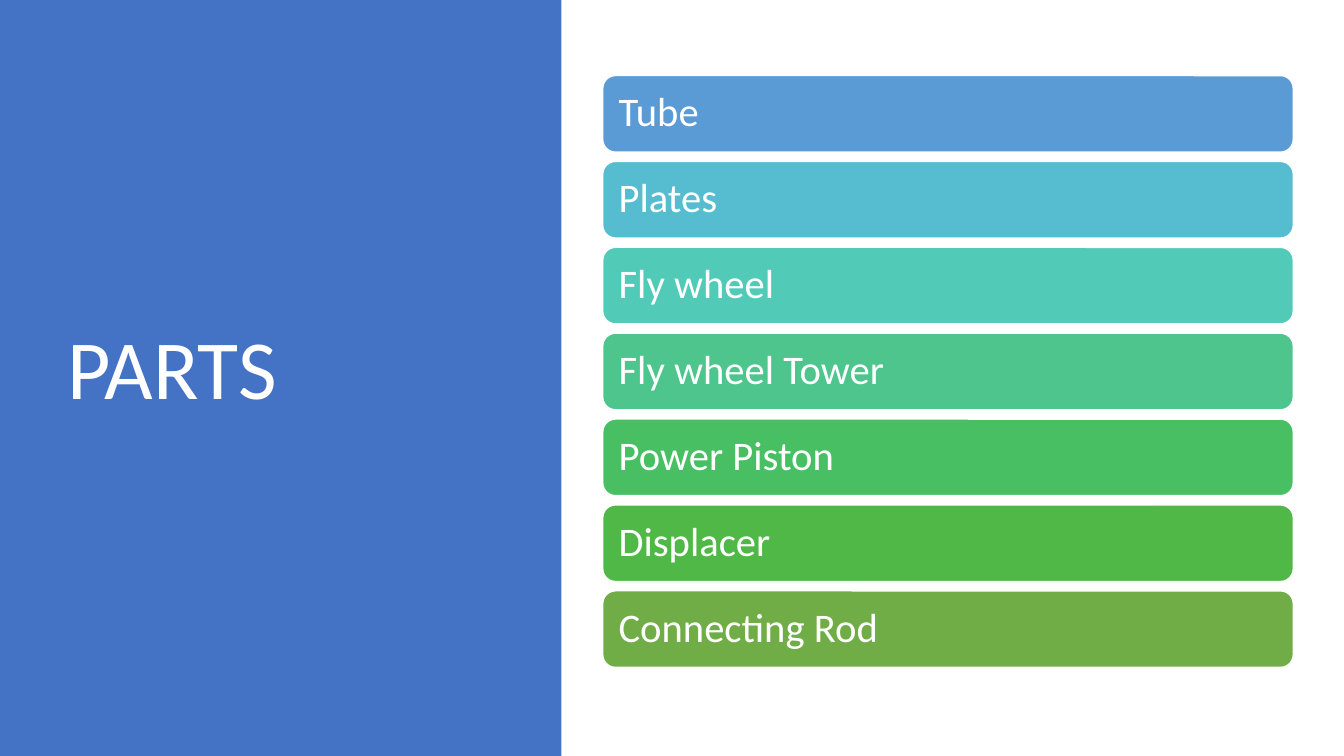
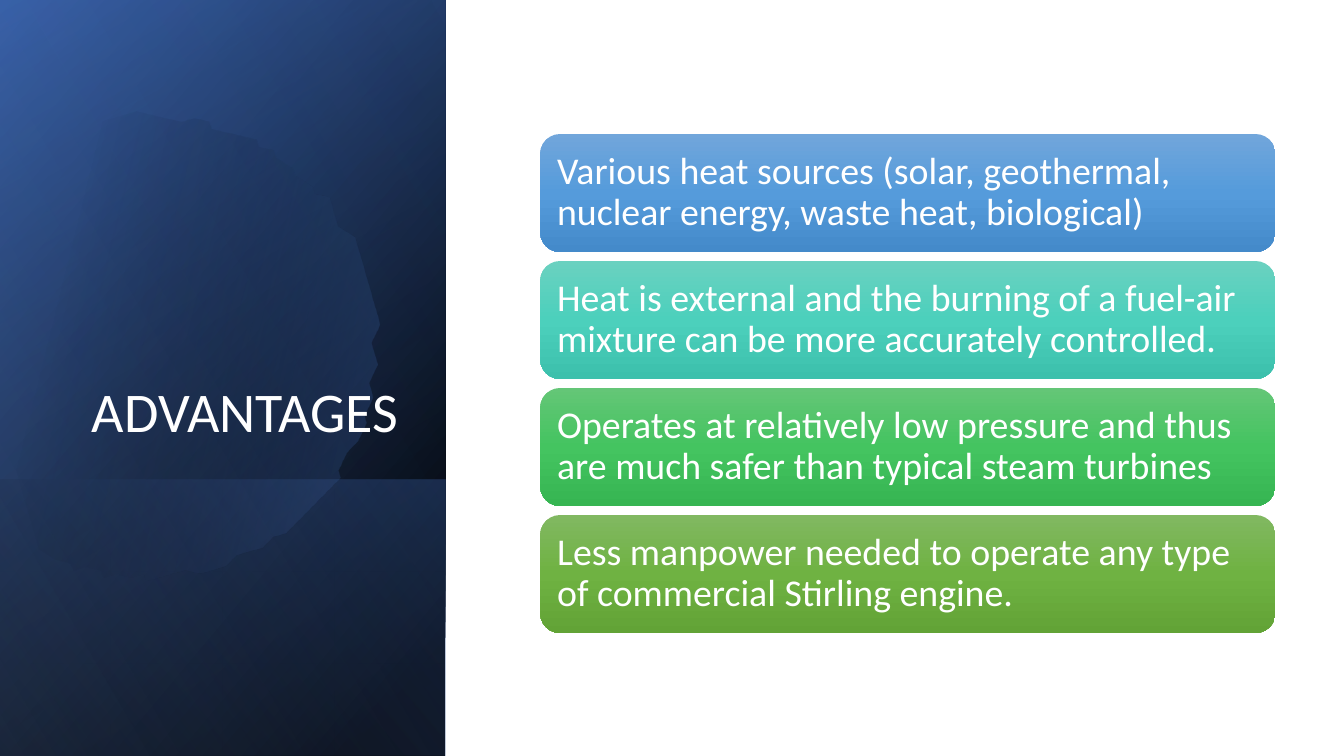
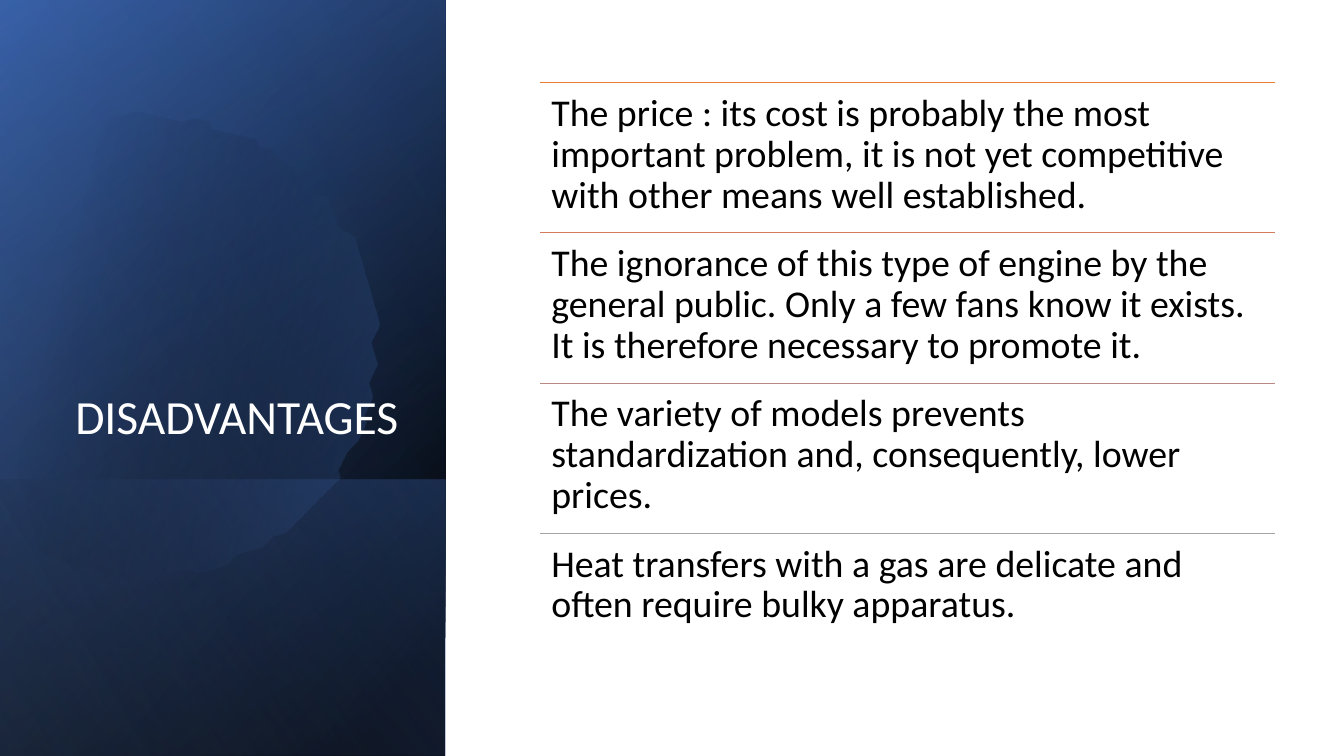
from dataclasses import dataclass
from typing import Optional

from lxml.etree import SubElement
from pptx import Presentation
from pptx.dml.color import RGBColor
from pptx.enum.shapes import MSO_CONNECTOR, MSO_SHAPE
from pptx.enum.text import MSO_ANCHOR as Anchor, PP_ALIGN as Align
from pptx.oxml.ns import qn
from pptx.util import Inches, Pt

WIDTH, HEIGHT = 13.33, 7.5


@dataclass(frozen=True)
class Theme:
    font: str = "Calibri"
    white: str = "FFFFFF"
    black: str = "000000"
    accent: str = "4472C4"
    deep: str = "2F5597"
    pale: str = "8FAADC"
    title_large: int = 60
    title_medium: int = 40
    title_small: int = 34
    part_size: int = 29
    point_size: int = 27
    leading: float = 0.9


THEME = Theme()


@dataclass(frozen=True)
class Box:
    """Percentages of the slide's width and height."""

    left: float
    top: float
    width: float
    height: float

    def emu(self) -> tuple:
        return (Inches(self.left * WIDTH / 100), Inches(self.top * HEIGHT / 100),
                Inches(self.width * WIDTH / 100), Inches(self.height * HEIGHT / 100))

    def row(self, index: int, pitch: float) -> "Box":
        return Box(self.left, self.top + index * pitch, self.width, self.height)


@dataclass(frozen=True)
class Stop:
    position: int
    color: str
    opacity: int = 100


@dataclass(frozen=True)
class Gradient:
    stops: tuple
    angle: float


@dataclass(frozen=True)
class Item:
    text: str
    colors: tuple


PANEL = Box(0, 0, 33.15, 100)
LOWER_BAND = Box(0, 63.47, 33.15, 36.53)
PARTS_PANEL = Box(0, 0, 41.78, 100)
PARTS_TITLE = Box(4.28, 9.07, 31.2, 80.27)
SIDE_TITLE = Box(4.8, 24.53, 25.58, 34.93)
PART_CARD, PART_PITCH = Box(44.85, 10, 51.38, 10.13), 11.36
ADVANTAGE_CARD, ADVANTAGE_PITCH = Box(40.2, 17.73, 54.69, 15.6), 16.8
DRAWBACK_ROW, DRAWBACK_PITCH = Box(40.2, 10.93, 54.69, 19.87), 19.87

BASE_GLOW = Gradient((Stop(8, THEME.black), Stop(100, THEME.deep)), 50)
SIDE_GLOW = Gradient((Stop(0, THEME.black, 0), Stop(99, THEME.accent, 46)), 30)
BAND_GLOW = Gradient((Stop(2, THEME.accent, 29), Stop(100, THEME.black, 30)), 130)
DISC_GLOW = Gradient((Stop(29, THEME.black, 0), Stop(100, THEME.accent, 43)), 30)
TOP_GLOW = Gradient((Stop(0, THEME.black, 0), Stop(99, THEME.pale, 11)), 120)

DISC_START = (11.18, 14.67)
DISC_ROTATION = 343.9
DISC_SHIFT = (-0.06, -0.73)
DISC_CURVES = (
    ((18.45, 14.93), (25.13, 23.6), (27.23, 36.67)),
    ((29.86, 52.93), (24.61, 69.73), (15.53, 74.4)),
    ((9.83, 77.33), (3.98, 74.8), (-0.23, 68.53)),
    ((-1.13, 67.07),),
    ((-1.13, 23.33),),
    ((0, 21.47),),
    ((1.73, 18.93), (3.75, 17.07), (6, 15.87)),
    ((7.73, 15.07), (9.45, 14.67), DISC_START),
)

PARTS = (
    Item("Tube", ("5B9BD5",)),
    Item("Plates", ("56BCD0",)),
    Item("Fly wheel", ("52CAB8",)),
    Item("Fly wheel Tower", ("4DC58D",)),
    Item("Power Piston", ("49BF64",)),
    Item("Displacer", ("50B846",)),
    Item("Connecting Rod", ("70AD47",)),
)
ADVANTAGES = (
    Item("Various heat sources (solar, geothermal, nuclear energy, waste heat, biological)",
         ("71A6DB", "559BDB", "448ACA")),
    Item("Heat is external and the burning of a fuel-air mixture can be more accurately controlled.",
         ("6AD1C0", "4CD0BC", "3CC0AC")),
    Item("Operates at relatively low pressure and thus are much safer than typical steam turbines",
         ("64C677", "44C460", "36B552")),
    Item("Less manpower needed to operate any type of commercial Stirling engine.",
         ("81B861", "6FB242", "62A336")),
)
DRAWBACKS = (
    Item("The price : its cost is probably the most important problem, "
         "it is not yet competitive with other means well established.", ("ED7D31",)),
    Item("The ignorance of this type of engine by the general public. Only a few fans "
         "know it exists. It is therefore necessary to promote it.", ("D17B5C",)),
    Item("The variety of models prevents standardization and, consequently, lower prices.",
         ("B98A82",)),
    Item("Heat transfers with a gas are delicate and often require bulky apparatus.",
         ("A5A5A5",)),
)


def rgb(color: str) -> RGBColor:
    return RGBColor.from_string(color)


def paint(shape, color: str = THEME.black, gradient: Optional[Gradient] = None,
          outline: Optional[str] = None) -> None:
    shape.shadow.inherit = False
    shape.fill.solid()
    shape.fill.fore_color.rgb = rgb(color)
    if outline:
        shape.line.color.rgb = rgb(outline)
        shape.line.width = Pt(1)
    else:
        shape.line.fill.background()
    if gradient:
        properties = shape._element.spPr
        solid = properties.find(qn("a:solidFill"))
        blend = SubElement(properties, qn("a:gradFill"), rotWithShape="1")
        stops = SubElement(blend, qn("a:gsLst"))
        for stop in gradient.stops:
            mark = SubElement(stops, qn("a:gs"), pos=str(stop.position * 1000))
            tint = SubElement(mark, qn("a:srgbClr"), val=stop.color)
            if stop.opacity < 100:
                SubElement(tint, qn("a:alpha"), val=str(stop.opacity * 1000))
        SubElement(blend, qn("a:lin"), ang=str(int(gradient.angle * 60000)), scaled="0")
        properties.replace(solid, blend)


def write(shape, text: str, *, size: float, color: str = THEME.white,
          align: Align = Align.LEFT, anchor: Anchor = Anchor.MIDDLE,
          inset: Optional[float] = None) -> None:
    frame = shape.text_frame
    frame.word_wrap = True
    frame.vertical_anchor = anchor
    if inset is not None:
        frame.margin_left = frame.margin_right = Inches(inset)
        frame.margin_top = frame.margin_bottom = Inches(inset)
    paragraph = frame.paragraphs[0]
    paragraph.alignment = align
    paragraph.line_spacing = THEME.leading
    run = paragraph.add_run()
    run.text = text
    run.font.name = THEME.font
    run.font.size = Pt(size)
    run.font.color.rgb = rgb(color)


def add_label(slide, box: Box, text: str, **style) -> None:
    write(slide.shapes.add_textbox(*box.emu()), text, **style)


def add_glow(slide, box: Box, gradient: Gradient) -> None:
    left, top, width, height = box.emu()
    glow = slide.shapes.add_shape(
        MSO_SHAPE.RECTANGLE, left + (width - height) // 2, top + (height - width) // 2,
        height, width)
    glow.rotation = 90
    glow._element.spPr.find(qn("a:xfrm")).set("flipH", "1")
    paint(glow, gradient=gradient)


def curve_points(start: tuple, controls: tuple, steps: int = 24) -> list:
    if len(controls) == 1:
        return list(controls)
    points = []
    for step in range(1, steps + 1):
        t = step / steps
        weights = ((1 - t) ** 3, 3 * t * (1 - t) ** 2, 3 * t * t * (1 - t), t ** 3)
        corners = (start, *controls)
        points.append(tuple(sum(w * c[axis] for w, c in zip(weights, corners))
                            for axis in (0, 1)))
    return points


def add_disc(slide) -> None:
    points, current = [], DISC_START
    for controls in DISC_CURVES:
        points += curve_points(current, controls)
        current = controls[-1]
    scale = (Inches(WIDTH / 100), Inches(HEIGHT / 100))
    builder = slide.shapes.build_freeform(*DISC_START, scale=scale)
    builder.add_line_segments(points, close=True)
    disc = builder.convert_to_shape()
    disc.left += int(DISC_SHIFT[0] * scale[0])
    disc.top += int(DISC_SHIFT[1] * scale[1])
    disc.rotation = DISC_ROTATION
    paint(disc, gradient=DISC_GLOW)


def add_side_panel(slide, title: str, size: int) -> None:
    for box, gradient in ((PANEL, BASE_GLOW), (PANEL, SIDE_GLOW), (LOWER_BAND, BAND_GLOW)):
        add_glow(slide, box, gradient)
    add_disc(slide)
    add_glow(slide, PANEL, TOP_GLOW)
    add_label(slide, SIDE_TITLE, title, size=size, align=Align.RIGHT, anchor=Anchor.BOTTOM)


def add_cards(slide, items: tuple, first: Box, pitch: float, *, size: int,
              inset: float, outline: Optional[str] = None) -> None:
    for index, item in enumerate(items):
        card = slide.shapes.add_shape(MSO_SHAPE.ROUNDED_RECTANGLE,
                                      *first.row(index, pitch).emu())
        gradient = None
        if len(item.colors) > 1:
            stops = tuple(Stop(position, color)
                          for position, color in zip((0, 50, 100), item.colors))
            gradient = Gradient(stops, 90)
        paint(card, item.colors[0], gradient, outline)
        write(card, item.text, size=size, inset=inset)


def add_ruled_rows(slide, items: tuple, first: Box, pitch: float) -> None:
    for index, item in enumerate(items):
        box = first.row(index, pitch)
        left, top, width, _ = box.emu()
        rule = slide.shapes.add_connector(MSO_CONNECTOR.STRAIGHT, left, top, left + width, top)
        rule.line.color.rgb = rgb(item.colors[0])
        rule.line.width = Pt(0.5)
        SubElement(rule._element.spPr, qn("a:effectLst"))
        add_label(slide, box, item.text, size=THEME.point_size, color=THEME.black,
                  anchor=Anchor.TOP, inset=0.11)


def build_parts(slide) -> None:
    panel = slide.shapes.add_shape(MSO_SHAPE.RECTANGLE, *PARTS_PANEL.emu())
    paint(panel, THEME.accent)
    add_label(slide, PARTS_TITLE, "PARTS", size=THEME.title_large)
    add_cards(slide, PARTS, PART_CARD, PART_PITCH, size=THEME.part_size,
              inset=0.12, outline=THEME.white)


def build_advantages(slide) -> None:
    add_side_panel(slide, "ADVANTAGES", THEME.title_medium)
    add_cards(slide, ADVANTAGES, ADVANTAGE_CARD, ADVANTAGE_PITCH,
              size=THEME.point_size, inset=0.11)


def build_disadvantages(slide) -> None:
    add_side_panel(slide, "DISADVANTAGES", THEME.title_small)
    add_ruled_rows(slide, DRAWBACKS, DRAWBACK_ROW, DRAWBACK_PITCH)


def main() -> None:
    deck = Presentation()
    deck.slide_width, deck.slide_height = Inches(WIDTH), Inches(HEIGHT)
    for build in (build_parts, build_advantages, build_disadvantages):
        build(deck.slides.add_slide(deck.slide_layouts[6]))
    deck.save("out.pptx")


if __name__ == "__main__":
    main()
